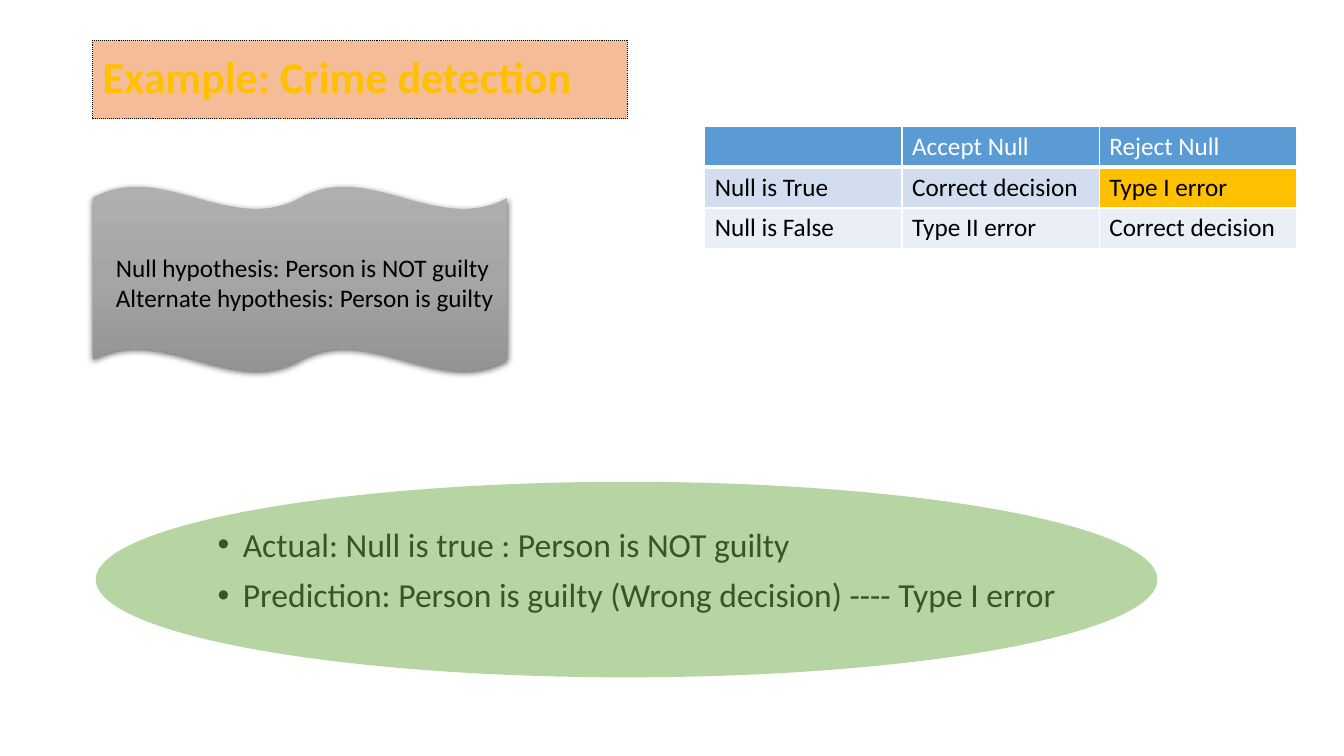
from dataclasses import dataclass
from typing import Any, Optional

from lxml import etree
from pptx import Presentation
from pptx import util as u
from pptx.dml.color import RGBColor
from pptx.enum import dml, shapes, text
from pptx.oxml import ns

WHITE = RGBColor(0xFF, 0xFF, 0xFF)
BLACK = RGBColor(0, 0, 0)
GOLD = RGBColor(0xFF, 0xC0, 0x00)
ORANGE = RGBColor(0xED, 0x7D, 0x31)
GREEN = RGBColor(0x70, 0xAD, 0x47)
BLUE = RGBColor(0x5B, 0x9B, 0xD5)
PALE = RGBColor(0xD2, 0xDE, 0xEF)
LIGHT = RGBColor(0xEA, 0xEF, 0xF7)
GREYS = {0: RGBColor(0xAF, 0xAF, 0xAF), 50: RGBColor(0xA5, 0xA5, 0xA5),
         100: RGBColor(0x93, 0x93, 0x93)}


@dataclass
class Box:
    left: float
    top: float
    width: float
    height: float

    def emu(self) -> list[int]:
        return [u.Inches(v) for v in (self.left, self.top, self.width, self.height)]


@dataclass
class Row:
    cells: list[str]
    fill: RGBColor
    ink: RGBColor = BLACK


ROWS = [
    Row(["", "Accept Null", "Reject Null"], BLUE, WHITE),
    Row(["Null is True", "Correct decision", "Type I error"], PALE),
    Row(["Null is False", "Type II error", "Correct decision"], LIGHT),
]


def sub(node: Any, tag: str, **attrs: Any) -> Any:
    return etree.SubElement(node, ns.qn(tag), {k: str(v) for k, v in attrs.items()})


def tint(node: Any, color: RGBColor, alpha: int = 100) -> None:
    hue = sub(node, "a:srgbClr", val=color)
    if alpha < 100:
        sub(hue, "a:alpha", val=alpha * 1000)


def write(frame: Any, lines: list[str], size: float = 18, color: RGBColor = BLACK,
          bold: bool = False, bullet: bool = False, space: float = 0,
          lead: Optional[float] = None) -> None:
    frame.word_wrap = True
    for i, line in enumerate(lines):
        para = frame.paragraphs[0] if i == 0 else frame.add_paragraph()
        para.alignment = text.PP_ALIGN.LEFT
        if lead:
            para.line_spacing = lead
        if i and space:
            para.space_before = u.Pt(space)
        if bullet:
            props = para._p.get_or_add_pPr()
            props.set("marL", str(u.Inches(0.25)))
            props.set("indent", str(u.Inches(-0.25)))
            sub(props, "a:buFont", typeface="Arial")
            sub(props, "a:buChar", char="•")
        run = para.add_run()
        run.text = line
        font = run.font
        font.name, font.size, font.bold = "Calibri", u.Pt(size), bold
        font.color.rgb = color


def add_shape(slide: Any, kind: Any, box: Box, fill: Optional[RGBColor] = None,
              alpha: int = 100) -> Any:
    shape = slide.shapes.add_shape(kind, *box.emu())
    shape.shadow.inherit = False
    shape.line.fill.background()
    if fill is not None:
        shape.fill.solid()
        shape.fill.fore_color.rgb = fill
        hue = shape._element.spPr.find(".//" + ns.qn("a:srgbClr"))
        sub(hue, "a:alpha", val=alpha * 1000)
    return shape


def add_text(slide: Any, box: Box, lines: list[str], **style: Any) -> None:
    write(slide.shapes.add_textbox(*box.emu()).text_frame, lines, **style)


def add_title(slide: Any) -> None:
    title = add_shape(slide, shapes.MSO_SHAPE.RECTANGLE, Box(0.92, 0.4, 5.3, 0.78),
                      ORANGE, 50)
    title.line.color.rgb = BLACK
    title.line.width = u.Pt(0.75)
    title.line.dash_style = dml.MSO_LINE.ROUND_DOT
    title.text_frame.vertical_anchor = text.MSO_ANCHOR.MIDDLE
    write(title.text_frame, ["Example: Crime detection"], size=31.5, color=GOLD,
          bold=True, lead=0.9)


def add_grid(slide: Any) -> None:
    box = Box(6.99, 1.25, 5.87, 1.22)
    table = slide.shapes.add_table(len(ROWS), 3, *box.emu()).table
    for r, row in enumerate(ROWS):
        for c, words in enumerate(row.cells):
            cell = table.cell(r, c)
            props = cell._tc.get_or_add_tcPr()
            for side in "LRTB":
                width = 3 if r == 0 and side == "B" else 1
                edge = sub(props, "a:ln" + side, w=u.Pt(width))
                tint(sub(edge, "a:solidFill"), WHITE)
            cell.fill.solid()
            cell.fill.fore_color.rgb = GOLD if words == "Type I error" else row.fill
            if words:
                write(cell.text_frame, [words], color=row.ink)


def add_wave(slide: Any) -> None:
    wave = add_shape(slide, shapes.MSO_SHAPE.DOUBLE_WAVE, Box(0.92, 1.85, 4.11, 1.83))
    wave.fill.gradient()
    grad = wave._element.spPr.find(ns.qn("a:gradFill"))
    for old in list(grad):
        grad.remove(old)
    stops = sub(grad, "a:gsLst")
    for pos, grey in GREYS.items():
        tint(sub(stops, "a:gs", pos=pos * 1000), grey)
    sub(grad, "a:lin", ang=5400000, scaled=0)
    effect = wave._element.spPr.find(ns.qn("a:effectLst"))
    shade = sub(effect, "a:outerShdw", blurRad=u.Pt(4.5), dist=u.Pt(1.5),
                dir=5400000, algn="ctr", rotWithShape=0)
    tint(shade, BLACK, 63)


def main() -> None:
    deck = Presentation()
    deck.slide_width, deck.slide_height = u.Inches(13.33), u.Inches(7.5)
    slide = deck.slides.add_slide(deck.slide_layouts[6])
    add_title(slide)
    add_text(slide, Box(2.06, 5.19, 9.42, 1.2),
             ["Actual: Null is true : Person is NOT guilty",
              "Prediction: Person is guilty (Wrong decision) ---- Type I error"],
             size=24, bullet=True, space=10, lead=0.9)
    add_grid(slide)
    add_shape(slide, shapes.MSO_SHAPE.OVAL, Box(0.95, 4.78, 10.53, 1.94), GREEN, 50)
    add_wave(slide)
    add_text(slide, Box(1.05, 2.45, 3.98, 1.01),
             ["Null hypothesis: Person is NOT guilty",
              "Alternate hypothesis: Person is guilty"])
    deck.save("out.pptx")


if __name__ == "__main__":
    main()
